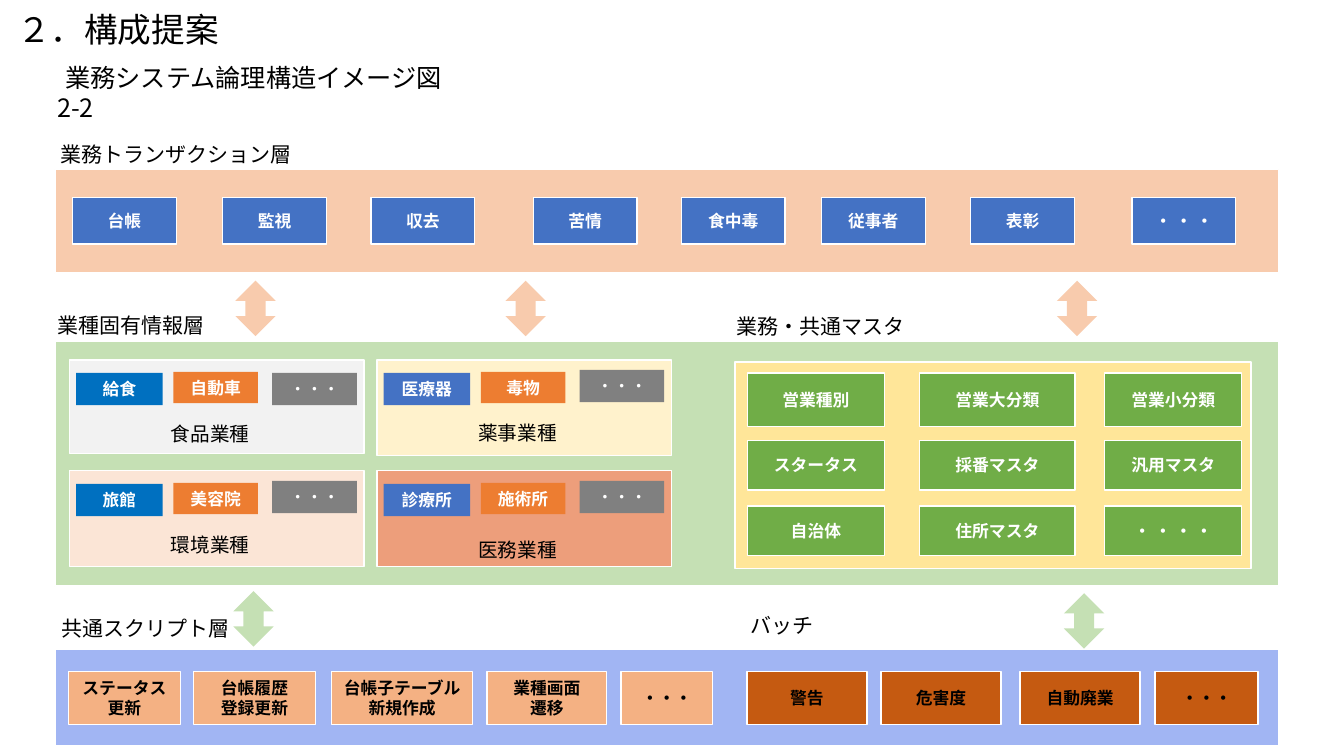
from dataclasses import dataclass

from pptx import Presentation
from pptx.dml.color import RGBColor
from pptx.enum.shapes import MSO_SHAPE
from pptx.enum.text import MSO_ANCHOR, MSO_AUTO_SIZE, PP_ALIGN
from pptx.oxml.ns import qn
from pptx.shapes.autoshape import Shape
from pptx.slide import Slide
from pptx.text.text import TextFrame
from pptx.util import Inches, Pt
from lxml import etree

RECTANGLE, ARROW = MSO_SHAPE.RECTANGLE, MSO_SHAPE.UP_DOWN_ARROW
LEFT, CENTER = PP_ALIGN.LEFT, PP_ALIGN.CENTER
TOP, MIDDLE = MSO_ANCHOR.TOP, MSO_ANCHOR.MIDDLE

# Grid: ten columns and ten rows to the inch
CELL = Inches(0.1)
SLIDE_COLUMNS, SLIDE_ROWS = 133.33, 75
JAPANESE, LATIN = "Noto Sans CJK JP", "Arial"
BLACK, WHITE = "000000", "FFFFFF"
PEACH, GREEN, PERIWINKLE = "F8CBAD", "C5E0B4", "A1B5F3"
BLUE, BRIGHT_BLUE, ORANGE, GRAY = "4472C4", "0070C0", "ED7D31", "808080"
MASTER_GREEN, SCRIPT_ORANGE, BATCH_BROWN = "70AD47", "F4B183", "C55A11"


@dataclass(frozen=True)
class Area:
    column: float
    row: float
    columns: float
    rows: float

    def lengths(self) -> tuple[int, int, int, int]:
        left, top, width, height = (
            round(value * CELL) for value in (self.column, self.row, self.columns, self.rows))
        return left, top, width, height


@dataclass(frozen=True)
class Style:
    size: float = 12
    color: str = WHITE
    bold: bool = True
    font: str = JAPANESE
    align: PP_ALIGN = CENTER
    anchor: MSO_ANCHOR = MIDDLE


@dataclass(frozen=True)
class Industry:
    name: str
    column: float
    row: float
    rows: float
    fill: str
    chip_fill: str
    chips: tuple[str, str]
    caption_row: float
    ellipsis_row: float = 1.0


@dataclass(frozen=True)
class Item:
    text: str
    column: float
    columns: float


TITLE = Style(24, BLACK, False, align=LEFT, anchor=TOP)
SUBTITLE = Style(18, BLACK, False, align=LEFT, anchor=TOP)
LABEL = Style(15, BLACK, False, align=LEFT, anchor=TOP)
CAPTION = Style(14, BLACK, False, anchor=TOP)
CHIP, DOTS = Style(), Style(bold=False)
LATIN_BOX = Style(font=LATIN)
DARK_BOX = Style(color=BLACK)

BANDS = ((16.8, 10.3, PEACH), (33.85, 24.3, GREEN), (64.4, 9.6, PERIWINKLE))
ARROWS = ((23.35, 27.85, PEACH), (50.15, 27.85, PEACH), (104.85, 27.85, PEACH),
          (23.15, 58.65, GREEN), (105.55, 58.85, GREEN))
LABELS = (
    ("業務トランザクション層", 5.0, 13.5, 29.5),
    ("業種固有情報層", 4.7, 30.5, 16.6),
    ("業務・共通マスタ", 72.1, 30.6, 19.3),
    ("共通スクリプト層", 5.1, 60.6, 25.6),
    ("バッチ", 73.5, 60.3, 8.8),
)
TRANSACTIONS = (("台帳", 7.2), ("監視", 22.1), ("収去", 36.8), ("苦情", 52.9),
                ("食中毒", 67.6), ("従事者", 81.5), ("表彰", 96.3), ("・ ・ ・", 112.3))
INDUSTRIES = (
    Industry("食品業種", 6.9, 35.7, 9.3, "F2F2F2", BRIGHT_BLUE, ("給食", "自動車"), 5.7, 1.3),
    Industry("薬事業種", 37.4, 35.7, 9.5, "FFF2CC", BLUE, ("医療器", "毒物"), 5.6),
    Industry("環境業種", 6.9, 46.7, 9.5, "FBE5D6", BRIGHT_BLUE, ("旅館", "美容院"), 5.7),
    Industry("医務業種", 37.4, 46.7, 9.5, "ED9E7B", BLUE, ("診療所", "施術所"), 6.2),
)
MASTER_COLUMNS = ((74.15, 13.6), (91.25, 15.4), (109.6, 13.6))
MASTER_ROWS = ((37.0, 5.3), (43.7, 4.9), (50.2, 4.9))
MASTERS = (("営業種別", "営業大分類", "営業小分類"),
           ("スタータス", "採番マスタ", "汎用マスタ"),
           ("自治体", "住所マスタ", "・ ・ ・ ・"))
SCRIPTS = (Item("ステータス\n更新", 6.8, 11.1), Item("台帳履歴\n登録更新", 19.2, 12.1),
           Item("台帳子テーブル\n新規作成", 32.9, 14.0), Item("業種画面\n遷移", 48.3, 11.9),
           Item("・・・", 61.6, 9.1))
BATCHES = (Item("警告", 74.1, 11.9), Item("危害度", 87.4, 11.9),
           Item("自動廃業", 101.2, 11.9), Item("・・・", 114.6, 10.2))


def rgb(color: str) -> RGBColor:
    return RGBColor.from_string(color)


def write(text_frame: TextFrame, text: str, style: Style) -> None:
    text_frame.text = text
    text_frame.word_wrap = True
    text_frame.auto_size = MSO_AUTO_SIZE.NONE
    text_frame.vertical_anchor = style.anchor
    for paragraph in text_frame.paragraphs:
        paragraph.alignment = style.align
        for run in paragraph.runs:
            run.font.size = Pt(style.size)
            run.font.bold = style.bold
            run.font.name = style.font
            run.font.color.rgb = rgb(style.color)
            east_asian = etree.Element(qn("a:ea"), typeface=JAPANESE)
            run.font._element.find(qn("a:latin")).addnext(east_asian)


def add_text(slide: Slide, area: Area, text: str, style: Style) -> TextFrame:
    text_frame = slide.shapes.add_textbox(*area.lengths()).text_frame
    write(text_frame, text, style)
    return text_frame


def add_box(slide: Slide, area: Area, fill: str, text: str = "", style: Style = CHIP,
            outlined: bool = True, preset: MSO_SHAPE = RECTANGLE) -> Shape:
    shape = slide.shapes.add_shape(preset, *area.lengths())
    shape.shadow.inherit = False
    shape.fill.solid()
    shape.fill.fore_color.rgb = rgb(fill)
    if outlined:
        shape.line.color.rgb = rgb(WHITE)
        shape.line.width = Pt(1)
    else:
        shape.line.fill.background()
    if text:
        write(shape.text_frame, text, style)
    return shape


def add_industry(slide: Slide, industry: Industry) -> None:
    column, row = industry.column, industry.row
    add_box(slide, Area(column, row, 29.2, industry.rows), industry.fill)
    first, second = industry.chips
    chips = (
        (first, 0.65, 1.3, 8.6, 3.2, industry.chip_fill, CHIP),
        (second, 10.3, 1.2, 8.4, 3.1, ORANGE, CHIP),
        ("・・・", 20.1, industry.ellipsis_row, 8.4, 3.2, GRAY, DOTS),
    )
    for text, across, down, columns, rows, fill, style in chips:
        area = Area(column + across, row + down, columns, rows)
        add_box(slide, area, fill, text, style, outlined=False)
    caption = Area(column + 7.6, row + industry.caption_row, 12.7, 3.4)
    add_text(slide, caption, industry.name, CAPTION)


def add_headings(slide: Slide) -> None:
    title = slide.shapes.title
    title.left, title.top, title.width, title.height = Area(0.7, 0.4, 25.3, 5).lengths()
    write(title.text_frame, "２．構成提案", TITLE)
    subtitle = add_text(slide, Area(3.6, 4.2, 126.7, 8.6),
                        "業務システム論理構造イメージ図\n2-2", SUBTITLE)
    subtitle.paragraphs[0].line_spacing = 1.5
    for paragraph, indent in zip(subtitle.paragraphs, (1.9, 1.1)):
        paragraph._p.get_or_add_pPr().set("marL", str(round(indent * CELL)))


def main() -> None:
    presentation = Presentation()
    presentation.slide_width = round(SLIDE_COLUMNS * CELL)
    presentation.slide_height = SLIDE_ROWS * CELL
    slide = presentation.slides.add_slide(presentation.slide_layouts[5])
    add_headings(slide)

    # Layer bands, the arrows between them and their labels
    for row, rows, fill in BANDS:
        add_box(slide, Area(5.45, row, 121.4, rows), fill)
    for column, row, fill in ARROWS:
        add_box(slide, Area(column, row, 4, 5.5), fill, outlined=False, preset=ARROW)
    for text, column, row, columns in LABELS:
        add_text(slide, Area(column, row, columns, 3.5), text, LABEL)

    # Transaction layer
    for text, column in TRANSACTIONS:
        add_box(slide, Area(column, 19.6, 10.3, 4.6), BLUE, text, LATIN_BOX)

    # Industry layer and shared masters
    for industry in INDUSTRIES:
        add_industry(slide, industry)
    add_box(slide, Area(72.9, 35.9, 51.2, 20.5), "FFE699")
    for (row, rows), names in zip(MASTER_ROWS, MASTERS):
        for (column, columns), name in zip(MASTER_COLUMNS, names):
            add_box(slide, Area(column, row, columns, rows), MASTER_GREEN, name, LATIN_BOX)

    # Script layer and batches
    for items, fill in ((SCRIPTS, SCRIPT_ORANGE), (BATCHES, BATCH_BROWN)):
        for item in items:
            add_box(slide, Area(item.column, 66.6, item.columns, 5.3), fill, item.text, DARK_BOX)

    presentation.save("out.pptx")


if __name__ == "__main__":
    main()
